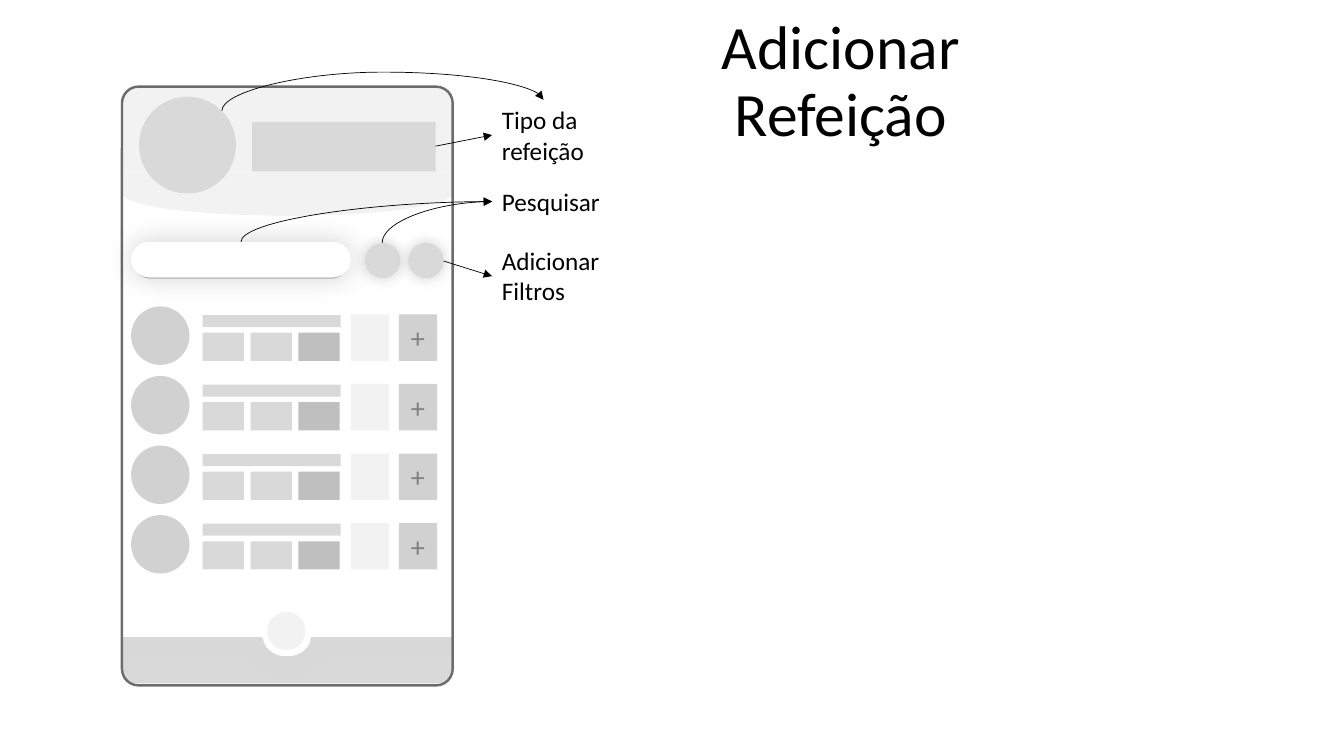
"""Builds the wireframe slide of the "Adicionar Refeição" screen."""
from lxml.etree import SubElement
from pptx import Presentation
from pptx.dml.color import RGBColor
from pptx.enum.shapes import MSO_CONNECTOR, MSO_SHAPE
from pptx.enum.text import MSO_ANCHOR, MSO_AUTO_SIZE, PP_ALIGN
from pptx.oxml.ns import qn
from pptx.util import Inches, Pt

COLORS = {
    "white": "FFFFFF", "black": "000000", "pale": "F2F2F2", "light": "D9D9D9",
    "bar": "D8D8D8", "mid": "D1D1D1", "dark": "BFBFBF", "plus": "808080",
    "frame": "6C6C6C",
}
FONT = "Calibri"
CELL = Inches(7.5 / 75)
FIRST_ROW, ROW_PITCH, MEALS = 30.4, 6.9, 4
TILE_LEFT, TILE_PITCH = 20.1, 4.75


def grid(*cells):
    return [round(c * CELL) for c in cells]


def rgb(name):
    return RGBColor.from_string(COLORS[name])


def add_shadow(sp, blur, alpha):
    shadow = SubElement(sp._element.spPr.find(qn("a:effectLst")), qn("a:outerShdw"),
                        blurRad=str(Pt(blur)), dist="0", dir="0", algn="ctr", rotWithShape="0")
    color = SubElement(shadow, qn("a:srgbClr"), val=COLORS["black"])
    SubElement(color, qn("a:alpha"), val=str(alpha * 1000))


def add_block(shapes, kind, box, fill=None, line=None, width=0.75, adj=(), rotation=0, shadow=None):
    sp = shapes.add_shape(kind, *grid(*box))
    sp.rotation = rotation
    sp.shadow.inherit = False
    for i, value in enumerate(adj):
        sp.adjustments[i] = value
    if fill:
        sp.fill.solid()
        sp.fill.fore_color.rgb = rgb(fill)
    else:
        sp.fill.background()
    if line:
        sp.line.color.rgb = rgb(line)
        sp.line.width = Pt(width)
    else:
        sp.line.fill.background()
    if shadow:
        add_shadow(sp, *shadow)
    return sp


def write(tf, text, size=18, color="black", align=PP_ALIGN.LEFT, anchor=MSO_ANCHOR.TOP, spacing=1.0):
    tf.vertical_anchor = anchor
    p = tf.paragraphs[0]
    p.text = text
    p.alignment = align
    p.line_spacing = spacing
    for r in p.runs:
        r.font.name = FONT
        r.font.size = Pt(size)
        r.font.color.rgb = rgb(color)


def add_label(shapes, text, box):
    tf = shapes.add_textbox(*grid(*box)).text_frame
    tf.word_wrap = False
    tf.auto_size = MSO_AUTO_SIZE.SHAPE_TO_FIT_TEXT
    write(tf, text)


def add_title(shapes, text, box):
    tf = shapes.add_textbox(*grid(*box)).text_frame
    tf.word_wrap = True
    tf.margin_left = tf.margin_right = 2 * CELL
    write(tf, text, size=44, align=PP_ALIGN.CENTER, anchor=MSO_ANCHOR.MIDDLE, spacing=0.9)


def add_arrow(shapes, start, end, kind=MSO_CONNECTOR.STRAIGHT):
    cn = shapes.add_connector(kind, *grid(*start, *end))
    cn.line.color.rgb = rgb("black")
    cn.line.width = Pt(0.5)
    SubElement(cn.line._get_or_add_ln(), qn("a:tailEnd"), type="triangle")
    SubElement(cn._element.spPr, qn("a:effectLst"))
    return cn


def add_curve(shapes, start, end, preset="curvedConnector2", adj=None):
    """Draws a curve that leaves start upwards and ends up and to the right."""
    (x1, y1), (x2, y2) = start, end
    cx, cy = (x1 + x2) / 2, (y1 + y2) / 2
    dx, dy = (y1 - y2) / 2, (x2 - x1) / 2
    cn = add_arrow(shapes, (cx - dx, cy - dy), (cx + dx, cy + dy), MSO_CONNECTOR.CURVE)
    xfrm = cn._element.spPr.find(qn("a:xfrm"))
    for name, value in (("rot", "5400000"), ("flipH", "1"), ("flipV", "1")):
        xfrm.set(name, value)
    geom = cn._element.spPr.find(qn("a:prstGeom"))
    geom.set("prst", preset)
    if adj:
        SubElement(geom.find(qn("a:avLst")), qn("a:gd"), name="adj1", fmla=f"val {round(adj * 100000)}")


def add_navigation(shapes):
    g = shapes.add_group_shape().shapes
    for left in (31, 12.1):
        add_block(g, MSO_SHAPE.RECTANGLE, (left, 63.2, 13.8, 1.9), "bar")
    add_block(g, MSO_SHAPE.ROUND_2_SAME_RECTANGLE, (12.1, 65.1, 32.7, 2.7), "light",
              adj=(0.5, 0), rotation=180)
    add_block(g, MSO_SHAPE.OVAL, (26.5, 60.7, 3.8, 3.8), "pale")
    add_block(g, MSO_SHAPE.BLOCK_ARC, (24.2, 59.5, 8.5, 7.5), "bar",
              adj=(107.523, 0, 0.25), rotation=180)


def add_header(shapes):
    g = shapes.add_group_shape().shapes
    add_block(g, MSO_SHAPE.ROUND_2_SAME_RECTANGLE, (12, 8.6, 32.8, 8.4), "pale", adj=(0.18, 0))
    add_block(g, MSO_SHAPE.FLOWCHART_DELAY, (26.3, 2.8, 4.4, 32.8), "pale", rotation=90)


def add_meal_type(shapes):
    g = shapes.add_group_shape().shapes
    add_block(g, MSO_SHAPE.OVAL, (13.8, 9.6, 9.6, 9.6), "light")
    add_block(g, MSO_SHAPE.RECTANGLE, (25, 12.1, 18.2, 4.9), "light")


def add_search(shapes):
    pill = MSO_SHAPE.ROUNDED_RECTANGLE
    add_block(shapes, pill, (13.2, 24.1, 21.4, 3.5), "white", line="dark", adj=(0.5,))
    g = shapes.add_group_shape().shapes
    add_block(g, pill, (13, 24, 21.8, 3.5), "white", adj=(0.5,), shadow=(20, 19))
    for left in (36.2, 40.5):
        add_block(g, pill, (left, 24.1, 3.5, 3.5), "light", adj=(0.5,), shadow=(10, 18))


def add_meal(shapes, top):
    g = shapes.add_group_shape().shapes
    rect = MSO_SHAPE.RECTANGLE
    add_block(g, MSO_SHAPE.OVAL, (13, top, 5.8, 5.8), "mid")
    add_block(g, rect, (TILE_LEFT, top + 0.85, 13.7, 1.2), "light")
    for i, fill in enumerate(("light", "light", "dark")):
        add_block(g, rect, (TILE_LEFT + i * TILE_PITCH, top + 2.6, 4.1, 2.8), fill)
    add_block(g, rect, (34.8, top + 0.8, 3.8, 4.6), "pale")
    plus = add_block(g, rect, (39.55, top + 0.8, 3.8, 4.6), "mid")
    write(plus.text_frame, "+", size=20, color="plus", align=PP_ALIGN.CENTER, anchor=MSO_ANCHOR.MIDDLE)


def add_callouts(shapes):
    add_label(shapes, "Tipo da\nrefeição", (48.8, 9.9, 10.2, 7.1))
    add_label(shapes, "Pesquisar", (48.8, 18, 11.8, 4))
    add_label(shapes, "Adicionar\nFiltros", (48.8, 23.8, 12.4, 7.1))
    add_curve(shapes, (22, 11), (53.9, 9.9), "curvedConnector3", 3.5)
    add_arrow(shapes, (43.2, 14.5), (48.8, 13.4))
    for start in ((23.9, 24), (37.9, 24.1)):
        add_curve(shapes, start, (48.8, 20))
    add_arrow(shapes, (44, 25.9), (48.8, 27.4))


def main():
    prs = Presentation()
    prs.slide_width, prs.slide_height = Inches(13.33), Inches(7.5)
    s = prs.slides.add_slide(prs.slide_layouts[6])
    add_navigation(s.shapes)
    add_header(s.shapes)
    add_block(s.shapes, MSO_SHAPE.ROUNDED_RECTANGLE, (12.1, 8.6, 32.8, 59.4),
              line="frame", width=1.75, adj=(0.05,))
    add_title(s.shapes, "Adicionar Refeição", (59.5, 1, 47.8, 14.5))
    add_meal_type(s.shapes)
    add_search(s.shapes)
    for i in range(MEALS):
        add_meal(s.shapes, FIRST_ROW + i * ROW_PITCH)
    add_callouts(s.shapes)
    prs.save("out.pptx")


if __name__ == "__main__":
    main()
